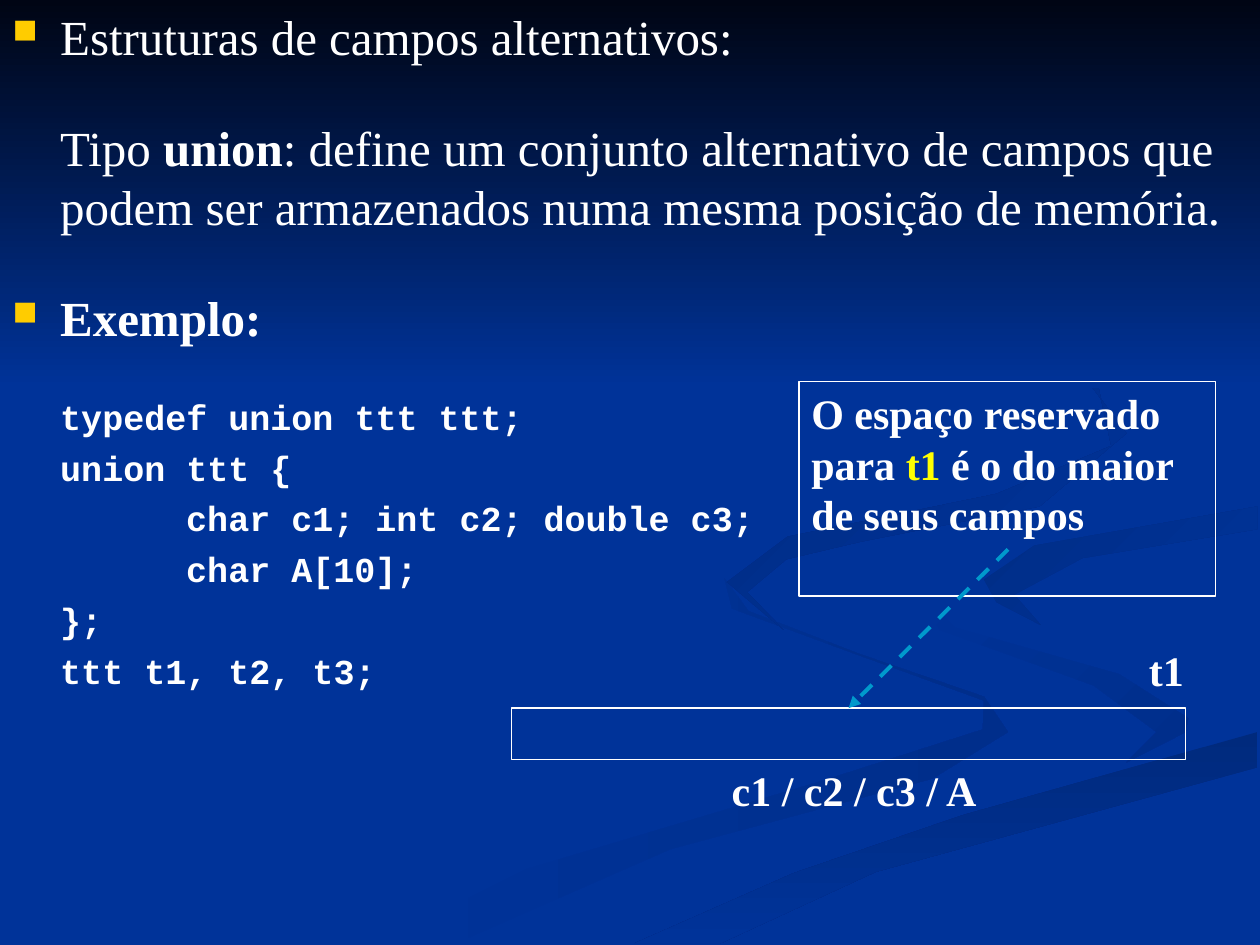
"""Slide on the C union type, with its memory layout."""
import pptx
import pptx.dml.color
import pptx.enum.dml
import pptx.enum.shapes
import pptx.enum.text
import pptx.oxml
import pptx.util
from lxml import etree

Inches = pptx.util.Inches
Pt = pptx.util.Pt
SHAPE = pptx.enum.shapes.MSO_SHAPE
SERIF, MONO = "Times New Roman", "Courier New"
COLORS = {
    "blue": "003399", "night": "000514", "white": "FFFFFF", "yellow": "FFFF00",
    "bullet": "FFCC00", "arrow": "0099CC", "shade1": "002E8B",
    "shade2": "002A7D", "shade3": "002D86", "shade4": "002B82",
}
RIBBONS = [
    ("blue", "shade1", 0, [
        (781, 553), (682, 519), (594, 485), (575, 459), (581, 483), (679, 519),
        (781, 556), (780, 579), (652, 620), (417, 690), (300, 749), (361, 749),
        (532, 674), (740, 618), (800, 581)]),
    ("blue", "shade1", 45, [
        (943, 570), (888, 535), (758, 498), (724, 464), (746, 500), (868, 544),
        (918, 581), (894, 605), (941, 581)]),
    ("shade2", "blue", 90, [
        (503, 749), (571, 749), (695, 692), (998, 609), (998, 581), (764, 647),
        (630, 693)]),
    ("shade3", "blue", 45, [
        (781, 460), (791, 478), (826, 496), (805, 472), (859, 443), (998, 420),
        (998, 402), (821, 433)]),
    ("shade4", "blue", 45, [
        (683, 430), (825, 402), (894, 344), (843, 275), (762, 233), (870, 299),
        (882, 354), (791, 392), (625, 426), (577, 462), (622, 500), (593, 470),
        (624, 444)]),
]


def rgb(name):
    return pptx.dml.color.RGBColor.from_string(COLORS[name])


def fill_gradient(sp, first, last, angle):
    sp.shadow.inherit = False
    sp.line.fill.background()
    sp.fill.gradient()
    sp.fill.gradient_angle = 360 - angle
    for stop, color in zip(sp.fill.gradient_stops, (first, last)):
        stop.color.rgb = rgb(color)


def add_ribbon(s, first, last, angle, points):
    builder = s.shapes.build_freeform(*points[0], scale=Inches(0.01))
    builder.add_line_segments(points[1:], close=True)
    fill_gradient(builder.convert_to_shape(), first, last, angle)


def add_frame(s, x, y, w, h):
    sp = s.shapes.add_shape(SHAPE.RECTANGLE, Inches(x), Inches(y), Inches(w), Inches(h))
    sp.shadow.inherit = False
    sp.fill.background()
    sp.line.color.rgb = rgb("white")
    sp.line.width = Pt(0.75)
    return sp


def add_box(s, x, y, w, h):
    return s.shapes.add_textbox(Inches(x), Inches(y), Inches(w), Inches(h))


def write(sp, runs, size=24, font=SERIF, bold=True, align="LEFT",
          before=0, left=0, bullet=False):
    """Add a paragraph; runs are (text, overrides) pairs or one string."""
    tf = sp.text_frame
    tf.word_wrap = True
    tf.vertical_anchor = pptx.enum.text.MSO_ANCHOR.TOP
    p = tf.add_paragraph() if tf.text else tf.paragraphs[0]
    p.alignment = getattr(pptx.enum.text.PP_ALIGN, align)
    p.space_before = Pt(before)
    pPr = p._p.get_or_add_pPr()
    pPr.set("marL", str(Inches(left)))
    pPr.set("indent", str(-Inches(left) if bullet else 0))
    if bullet:
        color = etree.SubElement(pPr, pptx.oxml.ns.qn("a:buClr"))
        etree.SubElement(color, pptx.oxml.ns.qn("a:srgbClr"), val=COLORS["bullet"])
        etree.SubElement(pPr, pptx.oxml.ns.qn("a:buSzPct"), val="70000")
        etree.SubElement(pPr, pptx.oxml.ns.qn("a:buChar"), char="■")
    for text, style in [(runs, {})] if isinstance(runs, str) else runs:
        r = p.add_run()
        r.text = text
        r.font.size, r.font.name = Pt(size), font
        r.font.bold = style.get("bold", bold)
        r.font.color.rgb = rgb(style.get("color", "white"))


def add_arrow(s, x, y, target):
    line = s.shapes.add_connector(pptx.enum.shapes.MSO_CONNECTOR.STRAIGHT,
                                  Inches(x), Inches(y), 0, 0)
    line.end_connect(target, 0)
    line.line.color.rgb = rgb("arrow")
    line.line.width = Pt(2.25)
    line.line.dash_style = pptx.enum.dml.MSO_LINE.DASH
    etree.SubElement(line.line._get_or_add_ln(), pptx.oxml.ns.qn("a:tailEnd"), type="triangle")
    etree.SubElement(line._element.spPr, pptx.oxml.ns.qn("a:effectLst"))


def add_background(s):
    s.background.fill.solid()
    s.background.fill.fore_color.rgb = rgb("blue")
    for ribbon in RIBBONS:
        add_ribbon(s, *ribbon)
    sky = s.shapes.add_shape(SHAPE.RECTANGLE, 0, 0, Inches(10), Inches(3.08))
    fill_gradient(sky, "night", "blue", 90)


def add_body(s):
    body = add_box(s, 0, 0, 10, 7.5)
    write(body, "Estruturas de campos alternativos:", size=28, bold=False,
          left=0.38, bullet=True)
    write(body, [("Tipo ", {}), ("union", {"bold": True}),
                 (": define um conjunto alternativo de campos que podem ser "
                  "armazenados numa mesma posição de memória.", {})],
          size=28, bold=False, before=30, left=0.38)
    write(body, "Exemplo:", size=28, before=30, left=0.38, bullet=True)
    code = [("typedef union ttt ttt;", 0), ("union ttt {", 0),
            ("char c1; int c2; double c3;", 1), ("char A[10];", 1),
            ("};", 0), ("ttt t1, t2, t3;", 0)]
    for i, (text, depth) in enumerate(code):
        write(body, text, size=20, font=MONO, before=5 if i else 28, left=0.38 + depth)


def add_memory(s):
    bar = add_frame(s, 4.06, 5.62, 5.35, 0.41)
    write(add_box(s, 9.02, 5.07, 0.63, 0.5), "t1")
    write(add_box(s, 5.01, 6.02, 3.54, 0.5), "c1 / c2 / c3 / A", align="CENTER")
    write(add_frame(s, 6.34, 3.03, 3.31, 1.7),
          [("O espaço reservado para ", {}), ("t1", {"color": "yellow"}),
           (" é o do maior de seus campos", {})])
    add_arrow(s, 8, 4.36, bar)


def main():
    prs = pptx.Presentation()
    prs.slide_width, prs.slide_height = Inches(10), Inches(7.5)
    s = prs.slides.add_slide(prs.slide_layouts[6])
    add_background(s)
    add_body(s)
    add_memory(s)
    prs.save("out.pptx")


if __name__ == "__main__":
    main()
